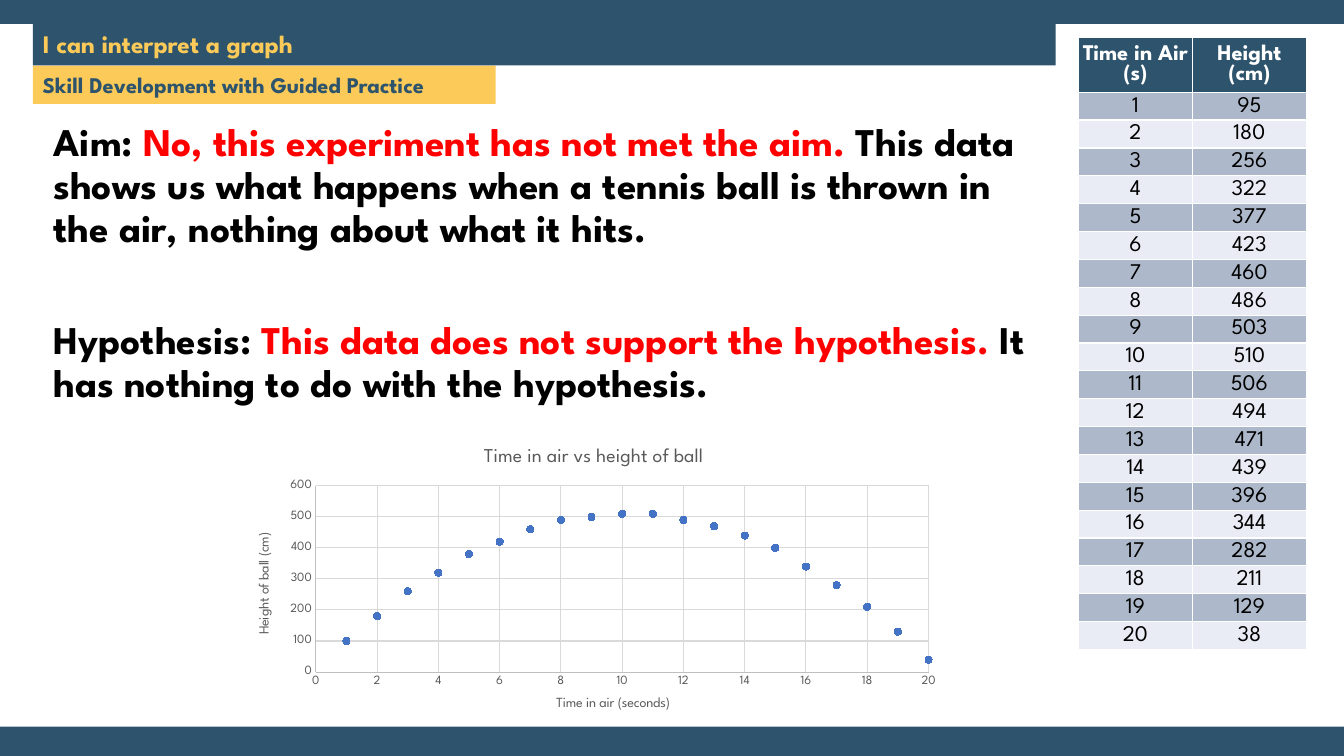
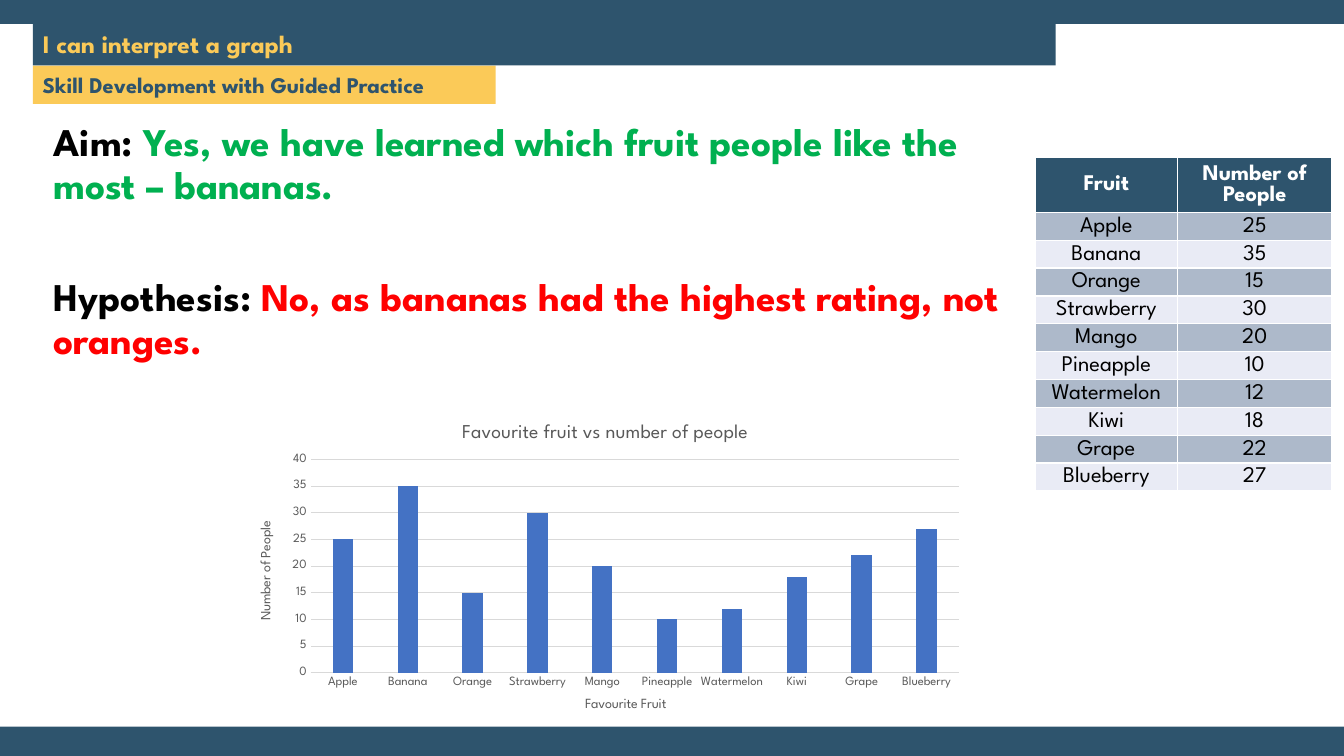
from lxml import etree
from pptx import Presentation
from pptx.chart.data import CategoryChartData, XyChartData
from pptx.dml.color import RGBColor
from pptx.enum.chart import XL_CHART_TYPE, XL_MARKER_STYLE, XL_TICK_MARK
from pptx.enum.shapes import MSO_SHAPE
from pptx.enum.text import MSO_ANCHOR, MSO_AUTO_SIZE, PP_ALIGN
from pptx.oxml import parse_xml
from pptx.oxml.ns import nsdecls, qn
from pptx.util import Pt

RECT = MSO_SHAPE.RECTANGLE
MIDDLE = MSO_ANCHOR.MIDDLE
LEFT, CENTER = PP_ALIGN.LEFT, PP_ALIGN.CENTER
NO_FIT = MSO_AUTO_SIZE.NONE
SCATTER, COLUMN = XL_CHART_TYPE.XY_SCATTER, XL_CHART_TYPE.COLUMN_CLUSTERED
CIRCLE = XL_MARKER_STYLE.CIRCLE
NO_TICK = XL_TICK_MARK.NONE

NAVY = RGBColor(0x2E, 0x54, 0x6D)
GOLD = RGBColor(0xFB, 0xCA, 0x58)
WHITE = RGBColor(0xFF, 0xFF, 0xFF)
BLACK = RGBColor(0x00, 0x00, 0x00)
RED = RGBColor(0xFF, 0x00, 0x00)
GREEN = RGBColor(0x00, 0xB0, 0x50)
DARK_ROW = RGBColor(0xAD, 0xB9, 0xCA)
PALE_ROW = RGBColor(0xE9, 0xEB, 0xF5)
BLUE = RGBColor(0x44, 0x72, 0xC4)
GRAY = RGBColor(0x59, 0x59, 0x59)
GRID = RGBColor(0xD9, 0xD9, 0xD9)
AXIS = RGBColor(0xBF, 0xBF, 0xBF)

FACE = "League Spartan"
WIDE, HIGH = 960, 540
ROW = 15.2
HEIGHTS = [95, 180, 256, 322, 377, 423, 460, 486, 503, 510,
           506, 494, 471, 439, 396, 344, 282, 211, 129, 38]
FRUIT = [("Apple", 25), ("Banana", 35), ("Orange", 15), ("Strawberry", 30),
         ("Mango", 20), ("Pineapple", 10), ("Watermelon", 12), ("Kiwi", 18),
         ("Grape", 22), ("Blueberry", 27)]


def put(item, **values):
    for name, value in values.items():
        setattr(item, name, value)


def ink(font, size, color, bold=False):
    put(font, name=FACE, size=Pt(size), bold=bold)
    font.color.rgb = color


def rule(line, color):
    line.color.rgb = color
    line.width = Pt(0.75)


def points(*values):
    return [Pt(v) for v in values]


class Deck:
    """Holds the shared style and the current slide."""

    def __init__(self):
        self.show = Presentation()
        put(self.show, slide_width=Pt(WIDE), slide_height=Pt(HIGH))
        self.slide = None

    def start(self, title, stage):
        layout = self.show.slide_layouts[5]
        self.slide = self.show.slides.add_slide(layout)
        # Navy frame around a white page
        self.band(0, 0, WIDE, HIGH, NAVY)
        self.band(0, 17.3, WIDE, 501.8, WHITE)
        # Stage label and title bar, with the title in front of the page
        self.label(self.band(23.4, 46.8, 330.6, 27.4, GOLD), stage, 16, NAVY)
        head = self.slide.shapes.title
        self.slide.shapes._spTree.append(head._element)
        left, top, width, height = points(23.4, 17.3, 730.6, 29.5)
        put(head, left=left, top=top, width=width, height=height)
        head.fill.solid()
        head.fill.fore_color.rgb = NAVY
        self.label(head, title, 18, GOLD)
        head.text_frame.paragraphs[0].line_spacing = 0.9

    def band(self, x, y, w, h, color):
        shape = self.slide.shapes.add_shape(RECT, *points(x, y, w, h))
        shape.shadow.inherit = False
        shape.fill.solid()
        shape.fill.fore_color.rgb = color
        shape.line.fill.background()
        return shape

    def label(self, shape, text, size, color):
        frame = shape.text_frame
        put(frame, text=text, word_wrap=True, auto_size=NO_FIT,
            vertical_anchor=MIDDLE)
        para = frame.paragraphs[0]
        para.alignment = LEFT
        ink(para.runs[0].font, size, color, True)

    def body(self, *paras):
        box = self.slide.shapes.add_textbox(*points(31.2, 83, 715, 216))
        frame = box.text_frame
        frame.word_wrap = True
        for i, runs in enumerate(paras):
            para = frame.add_paragraph() if i else frame.paragraphs[0]
            para.line_spacing = Pt(30.7)
            if i:
                para.space_before = Pt(49.5)
            for text, color in runs:
                run = para.add_run()
                run.text = text
                ink(run.font, 28, color, True)

    def table(self, x, y, widths, rows):
        size = points(x, y, sum(widths), ROW * len(rows))
        grid = self.slide.shapes.add_table(len(rows), len(widths), *size).table
        grid.horz_banding = False
        for col, width in zip(grid.columns, widths):
            col.width = Pt(width)
        for i, row in enumerate(rows):
            fill = (PALE_ROW, DARK_ROW)[i % 2] if i else NAVY
            for j, value in enumerate(row):
                self.cell(grid.cell(i, j), str(value), fill, i == 0)

    def cell(self, cell, text, fill, head):
        put(cell, text=text, vertical_anchor=MIDDLE, margin_left=Pt(0.7),
            margin_right=Pt(0.7), margin_top=Pt(0.7), margin_bottom=0)
        para = cell.text_frame.paragraphs[0]
        para.alignment = CENTER
        ink(para.runs[0].font, 16, WHITE if head else BLACK, head)
        # The paragraph end keeps the row as low as its text
        end = etree.SubElement(para._p, qn("a:endParaRPr"), sz="1600")
        etree.SubElement(end, qn("a:latin"), typeface=FACE)
        # Borders go before the fill
        props = cell._tc.get_or_add_tcPr()
        for side in "LRTB":
            line = etree.SubElement(props, qn(f"a:ln{side}"), w=str(Pt(1)))
            solid = etree.SubElement(line, qn("a:solidFill"))
            etree.SubElement(solid, qn("a:srgbClr"), val=str(WHITE))
        cell.fill.solid()
        cell.fill.fore_color.rgb = fill

    def chart(self, kind, data, box, plot, title, names):
        frame = self.slide.shapes.add_chart(kind, *points(*box), data)
        chart = frame.chart
        chart.has_legend = False
        ink(chart.font, 10, BLACK)
        chart.plots[0].vary_by_categories = False
        self.name(chart.chart_title, title, 14)
        for axis, text in zip((chart.category_axis, chart.value_axis), names):
            put(axis, major_tick_mark=NO_TICK, minor_tick_mark=NO_TICK)
            ink(axis.tick_labels.font, 9, GRAY)
            self.name(axis.axis_title, text, 10)
        self.place(chart, plot)
        return chart

    def name(self, title, text, size):
        title.text_frame.text = text
        ink(title.text_frame.paragraphs[0].runs[0].font, size, GRAY)

    def place(self, chart, plot):
        area = chart.element.find(".//" + qn("c:plotArea"))
        for old in area.findall(qn("c:layout")):
            area.remove(old)
        sizes = "".join(f'<c:{k} val="{v}"/>' for k, v in zip("xywh", plot))
        area.insert(0, parse_xml(
            f'<c:layout {nsdecls("c")}><c:manualLayout>'
            '<c:layoutTarget val="inner"/><c:xMode val="edge"/>'
            f'<c:yMode val="edge"/>{sizes}</c:manualLayout></c:layout>'))

    def scale(self, axis, top, step, color=None, grid=True):
        if top:
            put(axis, minimum_scale=0, maximum_scale=top, major_unit=step)
        axis.has_major_gridlines = grid
        if grid:
            rule(axis.major_gridlines.format.line, GRID)
        if color is None:
            axis.format.line.fill.background()
        else:
            rule(axis.format.line, color)


def ball(deck):
    rows = list(enumerate(HEIGHTS, 1))
    deck.body(
        [("Aim: ", BLACK),
         ("No, this experiment has not met the aim. ", RED),
         ("This data shows us what happens when a tennis ball is thrown in "
          "the air, nothing about what it hits.", BLACK)],
        [("Hypothesis: ", BLACK),
         ("This data does not support the hypothesis. ", RED),
         ("It has nothing to do with the hypothesis.", BLACK)])
    deck.table(770, 26.8, (82, 81),
               [("Time in Air (s)", "Height (cm)")] + rows)

    # Plotted heights are rounded to tens
    data = XyChartData()
    series = data.add_series("Series 1")
    for time, height in rows:
        series.add_data_point(time, round(height, -1))
    chart = deck.chart(SCATTER, data, (169.6, 308.5, 509, 214.5),
                       (0.11, 0.18, 0.86, 0.62),
                       "Time in air vs height of ball",
                       ("Time in air (seconds)", "Height of ball (cm)"))
    deck.scale(chart.category_axis, 20, 2, AXIS)
    deck.scale(chart.value_axis, 600, 100, AXIS)
    dots = chart.plots[0].series[0]
    dots.smooth = False
    dots.format.line.fill.background()
    put(dots.marker, style=CIRCLE, size=5)
    dots.marker.format.fill.solid()
    dots.marker.format.fill.fore_color.rgb = BLUE
    rule(dots.marker.format.line, BLUE)


def fruit(deck):
    deck.body(
        [("Aim: ", BLACK),
         ("Yes, we have learned which fruit people like the most – bananas.",
          GREEN)],
        [("Hypothesis:", BLACK),
         (" No, as bananas had the highest rating, not oranges.", RED)])
    deck.table(739.5, 112.6, (101.5, 110.5),
               [("Fruit", "Number of People")] + FRUIT)

    data = CategoryChartData()
    kinds, counts = zip(*FRUIT)
    data.categories = kinds
    data.add_series("Series 1", counts)
    chart = deck.chart(COLUMN, data, (169.2, 291.2, 526.3, 231),
                       (0.1, 0.16, 0.88, 0.66),
                       "Favourite fruit vs number of people",
                       ("Favourite Fruit", "Number of People"))
    deck.scale(chart.category_axis, None, None, GRID, grid=False)
    deck.scale(chart.value_axis, 40, 5)
    plot = chart.plots[0]
    put(plot, gap_width=219, overlap=-27)
    bars = plot.series[0].format.fill
    bars.solid()
    bars.fore_color.rgb = BLUE


def main():
    deck = Deck()
    for fill in (ball, fruit):
        deck.start("I can interpret a graph",
                   "Skill Development with Guided Practice")
        fill(deck)
    deck.show.save("out.pptx")


if __name__ == "__main__":
    main()
